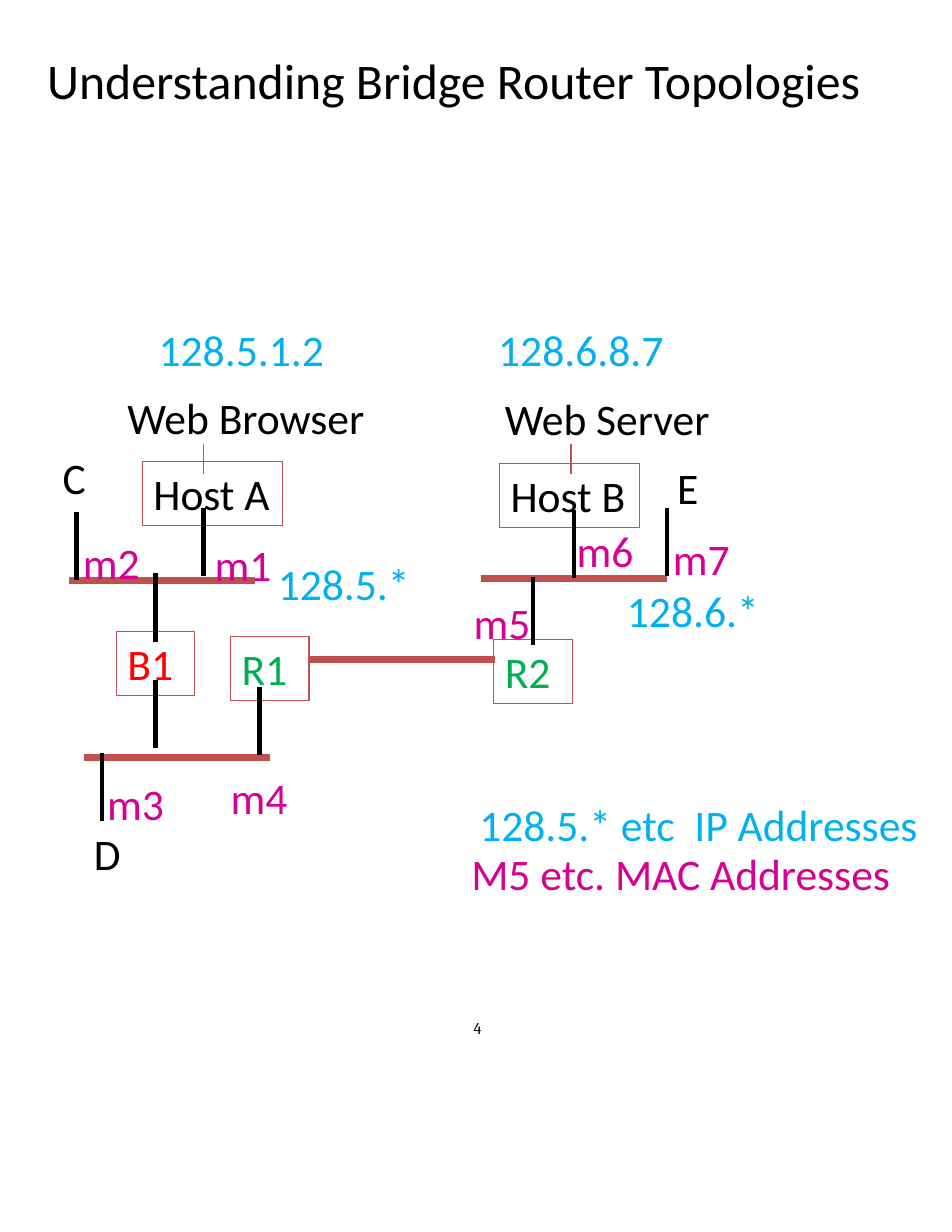
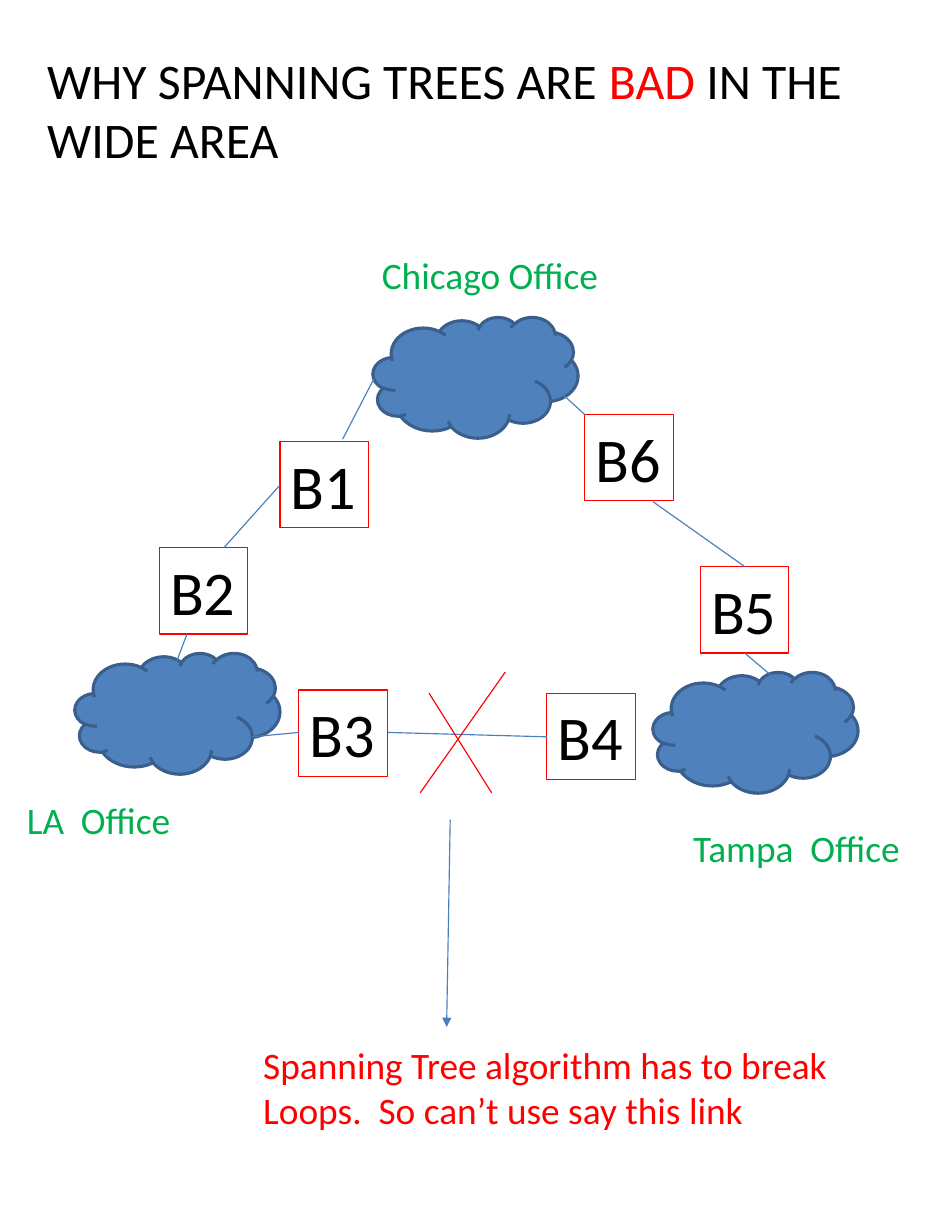
from dataclasses import dataclass

from lxml import etree
from pptx import Presentation
from pptx.dml.color import RGBColor
from pptx.enum.shapes import MSO_CONNECTOR, MSO_SHAPE
from pptx.enum.text import MSO_ANCHOR, MSO_AUTO_SIZE, PP_ALIGN
from pptx.oxml.ns import qn
from pptx.util import Cm, Pt

STRAIGHT = MSO_CONNECTOR.STRAIGHT
CLOUD = MSO_SHAPE.CLOUD
LEFT = PP_ALIGN.LEFT
TOP = MSO_ANCHOR.TOP
GROW = MSO_AUTO_SIZE.SHAPE_TO_FIT_TEXT

COLORS = {
    "text": "000000",
    "alert": "FF0000",
    "green": "00B050",
    "ip": "00B0F0",
    "mac": "D60093",
    "wire": "C0504D",
    "cloud": "4F81BD",
    "cloud_edge": "3A5F8C",
    "link": "4B7EBC",
}
BODY_FONT, NUMBER_FONT = "Calibri", "Cambria"
LABEL_HEIGHT = 1.45
HOST_WIDTH, DEVICE_WIDTH, MAC_WIDTH = 3.17, 1.78, 1.83
BUS_LENGTH, STUB_LENGTH, TICK_LENGTH = 4.22, 1.55, 0.69
OFFICE_SIZE = (4.65, 2.74)
BRIDGE_SIZE = (2.01, 1.96)


@dataclass
class Region:
    """A part of a slide, with its top left corner in centimetres."""
    slide: object
    left: float
    top: float

    def place(self, x, y):
        """Turn an offset in the region into a slide position."""
        return Cm(self.left + x), Cm(self.top + y)


def rgb(color):
    """Look up a named colour."""
    return RGBColor.from_string(COLORS[color])


def add_run(paragraph, text, color, size, font=BODY_FONT):
    """Append one formatted run."""
    run = paragraph.add_run()
    run.text = text
    run.font.name = font
    run.font.size = Pt(size)
    run.font.color.rgb = rgb(color)


def clear_margins(frame):
    """Remove the inner margins of a text frame."""
    frame.margin_left = frame.margin_right = 0
    frame.margin_top = frame.margin_bottom = 0


def add_label(region, x, y, width, lines, color="text", size=28,
              height=LABEL_HEIGHT, border=None, font=BODY_FONT):
    """Place left-aligned text, with a thin border if one is named."""
    label = region.slide.shapes.add_textbox(
        *region.place(x, y), Cm(width), Cm(height))
    frame = label.text_frame
    frame.word_wrap = len(lines) > 1
    frame.auto_size = GROW
    for index, line in enumerate(lines):
        paragraph = frame.add_paragraph() if index else frame.paragraphs[0]
        add_run(paragraph, line, color, size, font)
    if border:
        label.line.color.rgb = rgb(border)
        label.line.width = Pt(0.75)
    return frame


def add_link(region, start, end, color="link", width=0.75, arrow=False):
    """Draw a straight line between two points of the region."""
    link = region.slide.shapes.add_connector(
        STRAIGHT, *region.place(*start), *region.place(*end))
    link.line.color.rgb = rgb(color)
    link.line.width = Pt(width)
    properties = link._element.spPr
    if arrow:
        etree.SubElement(properties.find(qn("a:ln")), qn("a:tailEnd"),
                         type="triangle")
    etree.SubElement(properties, qn("a:effectLst"))


def add_titled_slide(deck, title_runs, height):
    """Add a title-only slide and format its title."""
    slide = deck.slides.add_slide(deck.slide_layouts[5])
    title = slide.shapes.title
    title.left, title.top = Cm(1.07), Cm(1.12)
    title.width, title.height = Cm(19.43), Cm(height)
    frame = title.text_frame
    clear_margins(frame)
    frame.word_wrap = True
    frame.auto_size = GROW
    frame.vertical_anchor = TOP
    heading = frame.paragraphs[0]
    heading.alignment = LEFT
    for text, color in title_runs:
        add_run(heading, text, color, 32)
    return slide


def draw_site(region, hosts, devices, buses, stubs, tick, macs, labels):
    """Draw one site: framed nodes, wires, then addresses and names."""
    for x, y, name in hosts:
        add_label(region, x, y, HOST_WIDTH, [name], border="wire")
    for x, y, name, color in devices:
        add_label(region, x, y, DEVICE_WIDTH, [name], color, border="wire")
    for x, y in buses:
        add_link(region, (x, y), (x + BUS_LENGTH, y), "wire", 4.5)
    for x, y in stubs:
        add_link(region, (x, y), (x, y + STUB_LENGTH), "text", 3)
    x, y = tick
    add_link(region, (x, y), (x, y + TICK_LENGTH), "wire")
    for x, y, address in macs:
        add_label(region, x, y, MAC_WIDTH, [address], "mac")
    for x, y, width, text, color in labels:
        add_label(region, x, y, width, [text], color)


def draw_browser_site(region):
    """Draw the bridged network of the web browser and its backbone."""
    draw_site(
        region,
        hosts=[(2.23, 3.46, "Host A")],
        devices=[(4.23, 7.43, "R1", "green"), (1.64, 7.33, "B1", "alert")],
        buses=[(0.57, 6.16), (0.91, 10.17), (6.01, 7.96)],
        stubs=[(0.73, 4.61), (3.62, 4.51), (2.53, 6), (2.53, 8.42),
               (4.89, 8.57), (1.31, 10.07)],
        tick=(3.62, 3.06),
        macs=[(3.62, 5.07, "m1"), (0.63, 5.04, "m2"),
              (1.18, 10.5, "m3"), (3.98, 10.35, "m4")],
        labels=[(2.35, 0.19, 4.55, "128.5.1.2", "ip"),
                (1.64, 1.74, 5.94, "Web Browser", "text"),
                (0.17, 3.11, 1.04, "C", "text"),
                (0.88, 11.64, 1.12, "D", "text"),
                (5.05, 5.5, 3.78, "128.5.*", "ip")])


def draw_server_site(region):
    """Draw the network of the web server."""
    draw_site(
        region,
        hosts=[(1.33, 3.52, "Host B")],
        devices=[(1.2, 7.5, "R2", "green")],
        buses=[(0.9, 6.11)],
        stubs=[(2.09, 6.08), (3.02, 4.56), (5.13, 4.51)],
        tick=(2.95, 3.06),
        macs=[(0.49, 6.39, "m5"), (2.83, 4.76, "m6"), (5.01, 4.94, "m7")],
        labels=[(1.05, 0.21, 4.55, "128.6.8.7", "ip"),
                (1.2, 1.76, 5.21, "Web Server", "text"),
                (5.11, 3.34, 0.99, "E", "text"),
                (3.97, 6.11, 3.56, "128.6.*", "ip")])


def draw_address_legend(region):
    """Explain the two address colours."""
    add_label(region, 0.18, 0, 10.59, ["128.5.* etc  IP Addresses"], "ip")
    add_label(region, 0, 1.1, 10.13, ["M5 etc. MAC Addresses"], "mac")


def draw_page_number(region, number):
    """Place the page number."""
    clear_margins(add_label(region, 0, 0, 0.33, [number], size=10.5,
                            height=0.46, font=NUMBER_FONT))


def draw_office(region, name, x, y, width):
    """Draw an office cloud with its name at an offset from the cloud."""
    office = region.slide.shapes.add_shape(
        CLOUD, *region.place(0, 0), *map(Cm, OFFICE_SIZE))
    office.shadow.inherit = False
    office.fill.solid()
    office.fill.fore_color.rgb = rgb("cloud")
    office.line.color.rgb = rgb("cloud_edge")
    office.line.width = Pt(2)
    add_label(region, x, y, width, [name], "green", 24, 1.27)


def draw_bridge_ring(region):
    """Draw the bridges, the links between them and the crossed-out link."""
    bridges = {"B1": (6.35, 5.01), "B2": (3.61, 7.42), "B3": (6.78, 10.65),
               "B4": (12.4, 10.72), "B5": (15.88, 7.85), "B6": (13.26, 4.4)}
    width, height = BRIDGE_SIZE
    for name, (x, y) in bridges.items():
        add_label(region, x, y, width, [name], size=40, height=height,
                  border="alert")
    links = [((8.48, 3.59), (7.77, 4.96)), ((6.35, 6), (5.08, 7.42)),
             ((4.24, 9.38), (4.01, 9.99)), ((5.72, 11.71), (6.78, 11.61)),
             ((8.79, 11.61), (12.4, 11.71)), ((12.7, 3.89), (13.26, 4.4)),
             ((14.81, 6.38), (16.89, 7.85)), ((16.89, 9.81), (17.88, 10.65))]
    for start, end in links:
        add_link(region, start, end)
    cross = [((9.73, 10.72), (11.15, 12.98)), ((9.53, 12.98), (11.46, 10.24))]
    for start, end in cross:
        add_link(region, start, end, "alert")


def draw_loop_warning(region):
    """Lead an arrow from the broken link to its explanation."""
    add_link(region, (4.49, 0), (4.41, 4.7), arrow=True)
    add_label(region, 0, 4.93, 13.39,
              ["Spanning Tree algorithm has to break",
               "Loops.  So can’t use say this link"], "alert", 24, 2.31)


def build_topology_slide(deck):
    """Build the bridge and router topology slide."""
    slide = add_titled_slide(
        deck, [("Understanding Bridge Router Topologies", "text")], 1.37)
    draw_browser_site(Region(slide, 1, 7))
    draw_server_site(Region(slide, 10, 7))
    draw_address_legend(Region(slide, 10.44, 17.98))
    draw_page_number(Region(slide, 10.74, 23.09), "4")


def build_spanning_tree_slide(deck):
    """Build the slide on spanning trees in the wide area."""
    slide = add_titled_slide(
        deck, [("WHY SPANNING TREES ARE ", "text"), ("BAD", "alert"),
               (" IN THE WIDE AREA", "text")], 2.74)
    draw_office(Region(slide, 8.46, 7.19), "Chicago Office", -0.05, -1.6, 5.49)
    draw_office(Region(slide, 1.7, 14.81), "LA  Office", -1.34, 3.15, 3.81)
    draw_office(Region(slide, 14.81, 15.24), "Tampa  Office", 0.66, 3.35, 5.26)
    draw_bridge_ring(Region(slide, 0, 5))
    draw_loop_warning(Region(slide, 5.72, 18.59))


def main():
    """Build and save the deck."""
    deck = Presentation()
    deck.slide_width, deck.slide_height = Cm(21.59), Cm(27.94)
    build_topology_slide(deck)
    build_spanning_tree_slide(deck)
    deck.save("out.pptx")


if __name__ == "__main__":
    main()
